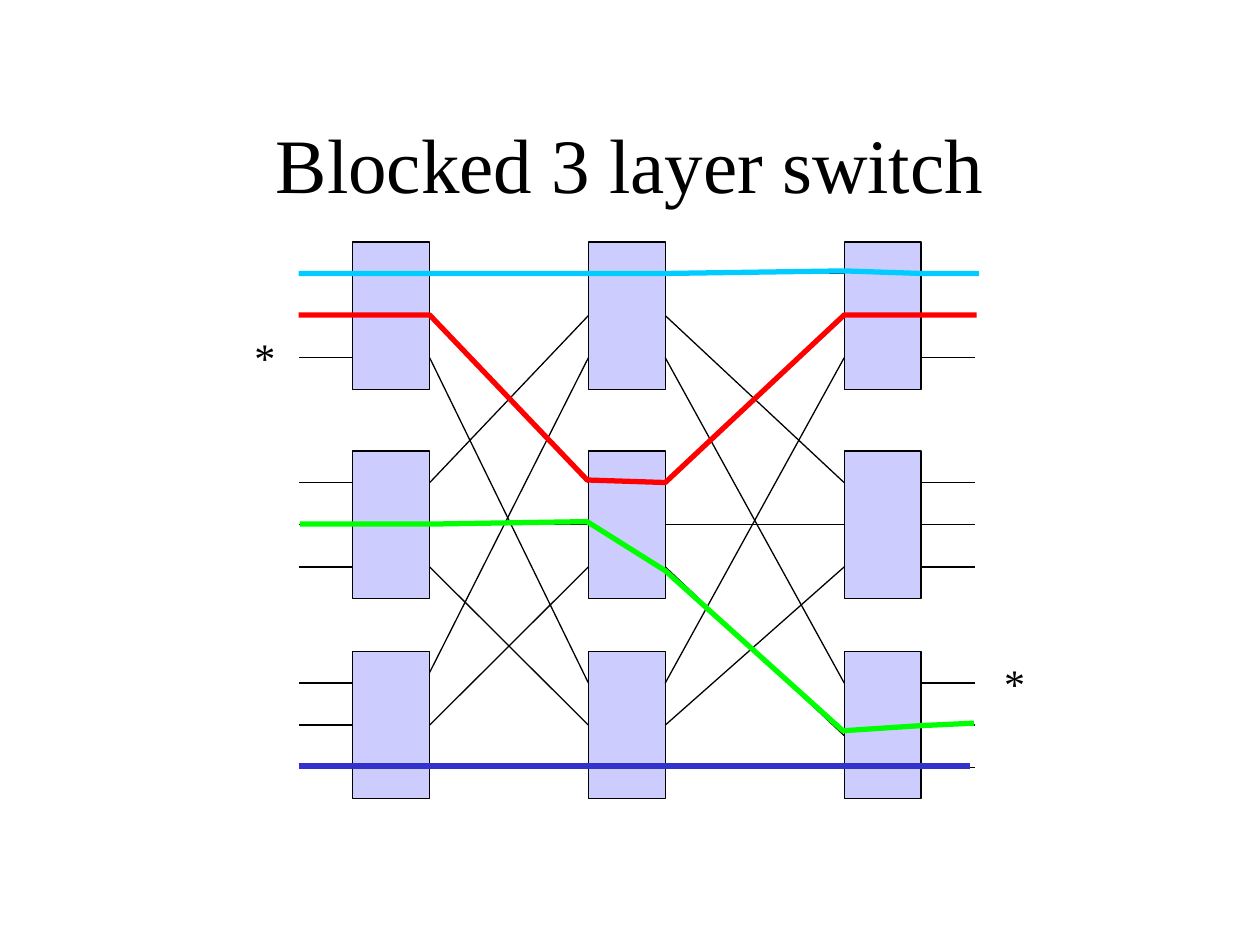
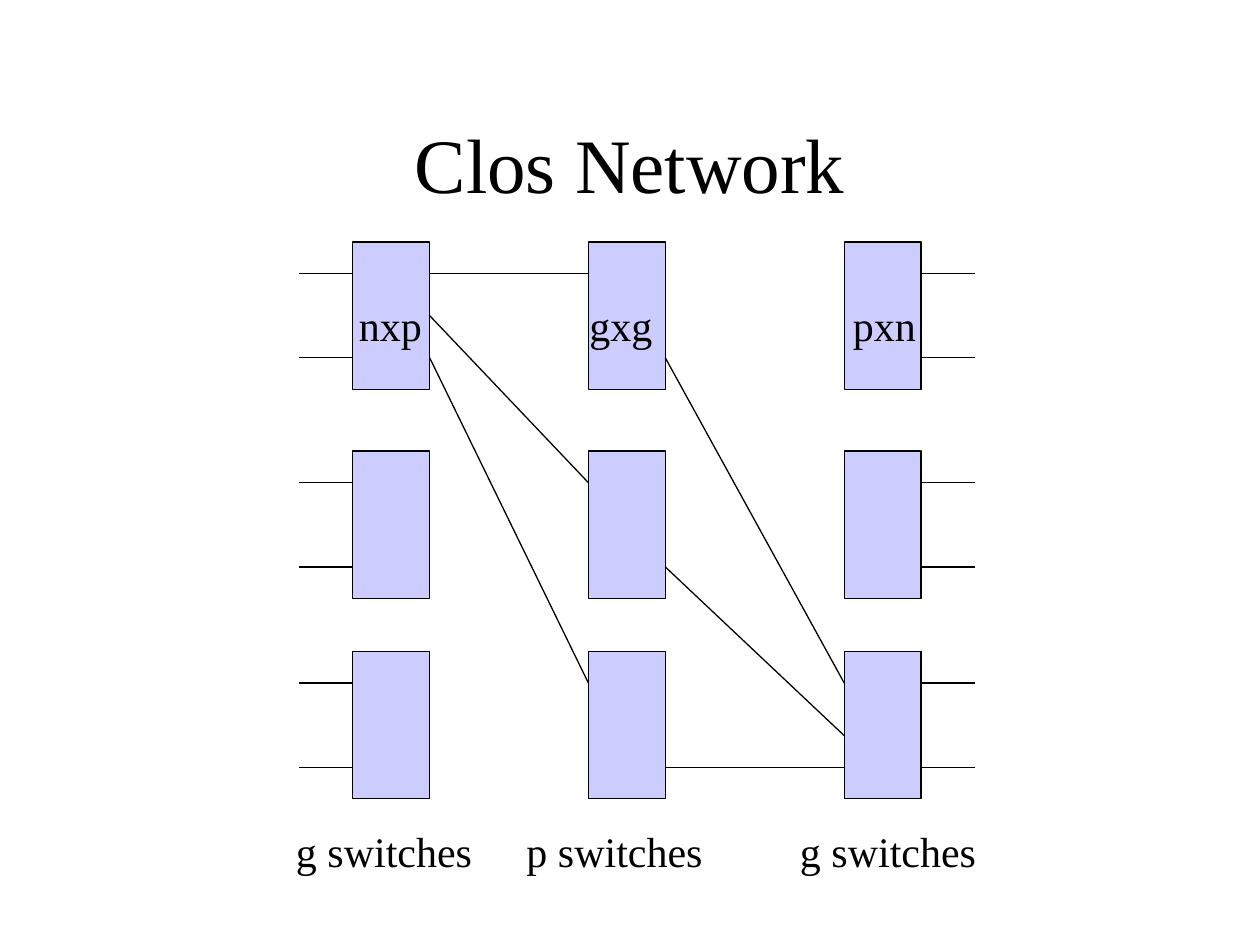
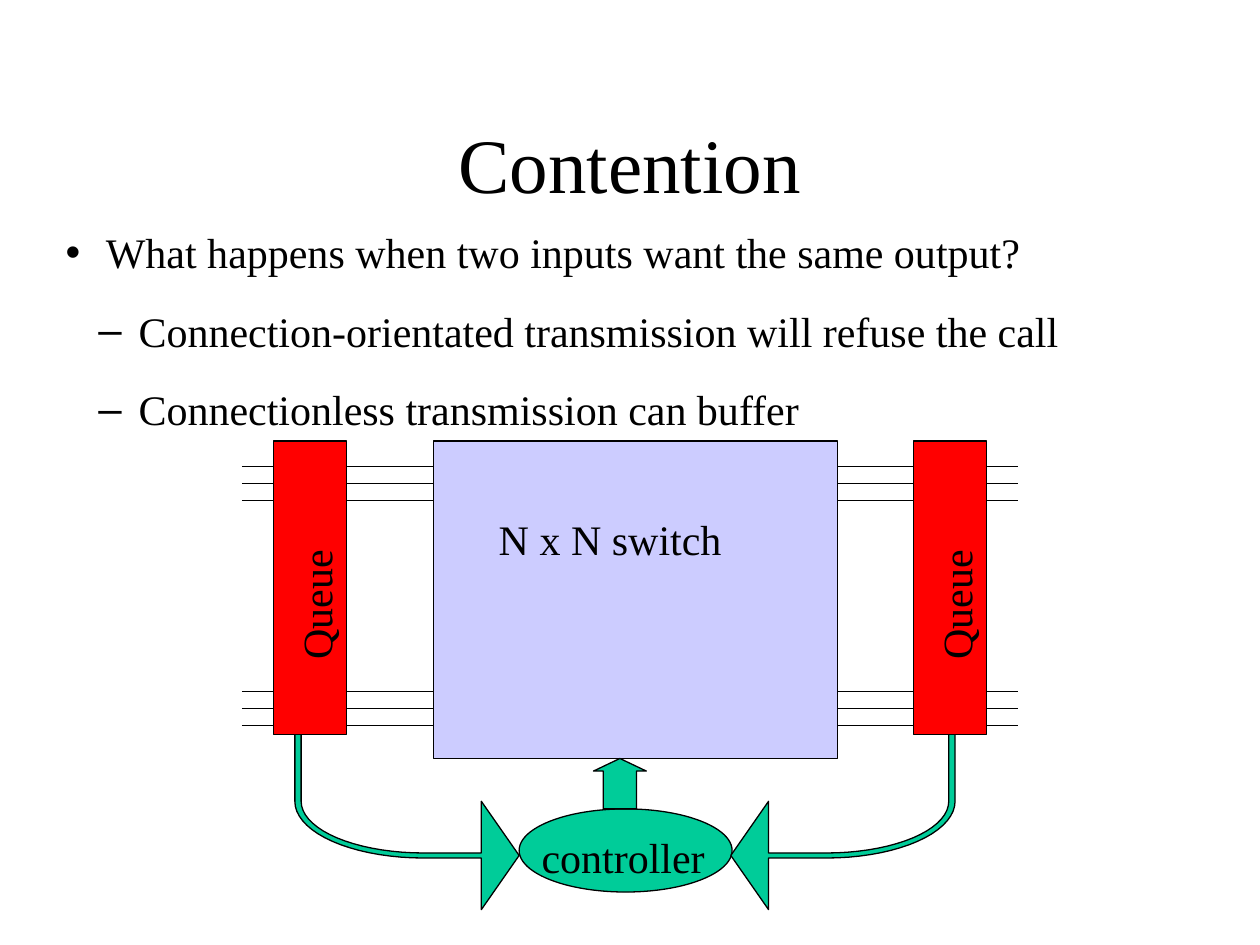
"""Build three slides on multistage switches and contention."""
import math

import pptx
import pptx.dml.color
import pptx.enum.shapes
import pptx.enum.text
import pptx.oxml
import pptx.util
from lxml import etree

Inches = pptx.util.Inches
SHAPE = pptx.enum.shapes.MSO_SHAPE
STRAIGHT = pptx.enum.shapes.MSO_CONNECTOR.STRAIGHT
ALIGN = pptx.enum.text.PP_ALIGN
BLOCK, QUEUE, CONTROL, INK = "CCCCFF", "FF0000", "00CC99", "000000"
TITLE_BOX = [Inches(n) for n in (0.75, 0.67, 8.5, 1.25)]


def paint(item, fill=None, line=INK, width=0.75):
    """Set fill and outline, and take the shadow away."""
    item.line.color.rgb = pptx.dml.color.RGBColor.from_string(line)
    item.line.width = pptx.util.Pt(width)
    if isinstance(item, pptx.shapes.connector.Connector):
        etree.SubElement(item._element.spPr, pptx.oxml.ns.qn("a:effectLst"))
        return
    item.shadow.inherit = False
    if fill:
        item.fill.solid()
        item.fill.fore_color.rgb = pptx.dml.color.RGBColor.from_string(fill)
    else:
        item.fill.background()


def write(frame, text, size=24, align=ALIGN.LEFT, before=0, levels=(0,)):
    """Fill a text frame, one paragraph for each line of text."""
    frame.text = text
    frame.word_wrap = True
    frame.auto_size = pptx.enum.text.MSO_AUTO_SIZE.NONE
    for paragraph, level in zip(frame.paragraphs, levels):
        paragraph.level = level
        paragraph.alignment = align
        paragraph.space_before = pptx.util.Pt(before)
        paragraph.font.size = pptx.util.Pt(size)
        paragraph.font.name = "Times New Roman"


deck = pptx.Presentation()
deck.slide_width, deck.slide_height = Inches(10), Inches(7.5)

columns, rows = (2.8, 4.67, 6.7), (1.92, 3.58, 5.17)
block_width, block_height = 0.61, 1.17
port_gap = block_height * 2 / 7
lead = 0.43
middles = [top + block_height / 2 for top in rows]
ports = (-1, 0, 1)
departures, arrivals = {(0, 2, -1): -1.25}, {(1, 1, 1): 0.25}
all_links = [(stage, row, port) for stage in (0, 1) for row in range(3) for port in ports]
clos_links = [(0, 0, port) for port in ports] + [(1, row, 1) for row in range(3)]

networks = [
    ("Blocked 3 layer switch", ports, all_links,
     [("*", 1.92, 2.58, 0.42), ("*", 7.87, 5.17, 0.42)]),
    ("Clos Network", (-1, 1), clos_links,
     [("nxp", 2.75, 2.33, 0.92), ("gxg", 4.58, 2.33, 0.92), ("pxn", 6.67, 2.33, 0.92),
      ("g switches", 2.25, 6.5, 1.75), ("p switches", 4.08, 6.5, 1.75),
      ("g switches", 6.25, 6.5, 1.75)]),
]

for heading, terminals, links, labels in networks:
    slide = deck.slides.add_slide(deck.slide_layouts[5])
    title = slide.shapes.title
    title.left, title.top, title.width, title.height = TITLE_BOX
    write(title.text_frame, heading, size=44, align=ALIGN.CENTER)

    blocks = {}
    for column, left in enumerate(columns):
        for row, top in enumerate(rows):
            block = slide.shapes.add_shape(SHAPE.RECTANGLE, Inches(left), Inches(top),
                                           Inches(block_width), Inches(block_height))
            paint(block, BLOCK)
            blocks[column, row] = block

    for row, middle in enumerate(middles):
        for port in terminals:
            for column, side, edge, reach in ((0, 1, columns[0], -lead),
                                              (2, 3, columns[2] + block_width, lead)):
                y = Inches(middle + port * port_gap)
                terminal = slide.shapes.add_connector(STRAIGHT, Inches(edge), y,
                                                      Inches(edge + reach), y)
                paint(terminal)
                if port == 0:
                    terminal.begin_connect(blocks[column, row], side)

    for link in links:
        stage, row, port = link
        next_row, next_port = port + 1, arrivals.get(link, row - 1)
        port = departures.get(link, port)
        wire = slide.shapes.add_connector(
            STRAIGHT, Inches(columns[stage] + block_width),
            Inches(middles[row] + port * port_gap),
            Inches(columns[stage + 1]), Inches(middles[next_row] + next_port * port_gap))
        paint(wire)
        if port == 0:
            wire.begin_connect(blocks[stage, row], 3)
        if next_port == 0:
            wire.end_connect(blocks[stage + 1, next_row], 1)

    for text, left, top, width in labels:
        label = slide.shapes.add_textbox(Inches(left), Inches(top), Inches(width), Inches(0.5))
        write(label.text_frame, text)

blocked = deck.slides[0]
routes = [
    ("FF0000", [(2.37, 2.5), (2.79, 2.5), (3.41, 2.5), (4.66, 3.81), (5.28, 3.83),
                (6.7, 2.5), (7.75, 2.5)]),
    ("00CCFF", [(2.37, 2.17), (4.62, 2.17), (5.3, 2.17), (6.7, 2.15), (7.3, 2.17),
                (7.77, 2.17)]),
    ("00FF00", [(2.38, 4.16), (3.41, 4.16), (4.66, 4.14), (5.28, 4.53), (6.69, 5.8),
                (7.3, 5.76), (7.73, 5.74)]),
]
for colour, stops in routes:
    stops = [(Inches(x), Inches(y)) for x, y in stops]
    builder = blocked.shapes.build_freeform(*stops[0])
    builder.add_line_segments(stops[1:], close=False)
    paint(builder.convert_to_shape(), line=colour, width=3)
direct_route = blocked.shapes.add_connector(STRAIGHT, Inches(2.37), Inches(6.08),
                                            Inches(7.7), Inches(6.08))
paint(direct_route, line="3333CC", width=3)

contention = deck.slides.add_slide(deck.slide_layouts[1])
title, body = contention.placeholders
title.left, title.top, title.width, title.height = TITLE_BOX
write(title.text_frame, "Contention", size=44, align=ALIGN.CENTER)
body.left, body.top, body.width, body.height = [Inches(n) for n in (0.42, 1.75, 9.25, 1.72)]
write(body.text_frame, "What happens when two inputs want the same output?\n"
      "Connection-orientated transmission will refuse the call\n"
      "Connectionless transmission can buffer", before=16, levels=(0, 1, 1))
for paragraph in body.text_frame.paragraphs:
    properties = paragraph._p.get_or_add_pPr()
    properties.set("marL", str(Inches(0.32 + 0.26 * paragraph.level)))
    properties.set("indent", str(Inches(-0.32)))

for bundle_top in (3.7, 5.49):
    for number in range(3):
        y = Inches(bundle_top + number * 0.135)
        paint(contention.shapes.add_connector(STRAIGHT, Inches(1.92), y, Inches(8.08), y))

parts = [
    (SHAPE.RECTANGLE, BLOCK, (3.44, 3.5, 3.21, 2.52)),
    (SHAPE.OVAL, CONTROL, (4.12, 6.42, 1.69, 0.66)),
    (SHAPE.UP_ARROW, CONTROL, (4.71, 6.02, 0.42, 0.4)),
]
for kind, colour, box in parts:
    part = contention.shapes.add_shape(kind, *[Inches(n) for n in box])
    paint(part, colour)
    if kind == SHAPE.UP_ARROW:
        part.adjustments[0], part.adjustments[1] = 0.63, 0.25

bend_x, bend_y = 3.36, 6.36
quarter = [math.radians(step * 5) for step in range(19)]
outer = [(bend_x - 1.02 * math.cos(a), bend_y + 0.45 * math.sin(a)) for a in quarter]
inner = [(bend_x - 0.97 * math.cos(a), bend_y + 0.41 * math.sin(a)) for a in quarter]
feedback = ([(2.34, 5.69)] + outer
            + [(3.82, 6.81), (3.82, 7.22), (4.12, 6.79), (3.82, 6.36), (3.82, 6.77)]
            + inner[::-1] + [(2.39, 5.69)])
mirror = 9.92
for outline in (feedback, [(mirror - x, y) for x, y in feedback]):
    outline = [(Inches(x), Inches(y)) for x, y in outline]
    builder = contention.shapes.build_freeform(*outline[0])
    builder.add_line_segments(outline[1:], close=True)
    paint(builder.convert_to_shape(), CONTROL)

for left in (2.17, 7.25):
    queue = contention.shapes.add_shape(SHAPE.RECTANGLE, Inches(left), Inches(3.5),
                                        Inches(0.58), Inches(2.33))
    paint(queue, QUEUE)

for text, left, top, width, turn in (("N x N switch", 3.86, 4.03, 2.53, 0),
                                     ("controller", 4.2, 6.55, 1.6, 0),
                                     ("Queue", 1.88, 4.46, 1.25, 270),
                                     ("Queue", 6.96, 4.46, 1.25, 270)):
    label = contention.shapes.add_textbox(Inches(left), Inches(top), Inches(width), Inches(0.5))
    label.rotation = turn
    write(label.text_frame, text)

deck.save("out.pptx")
